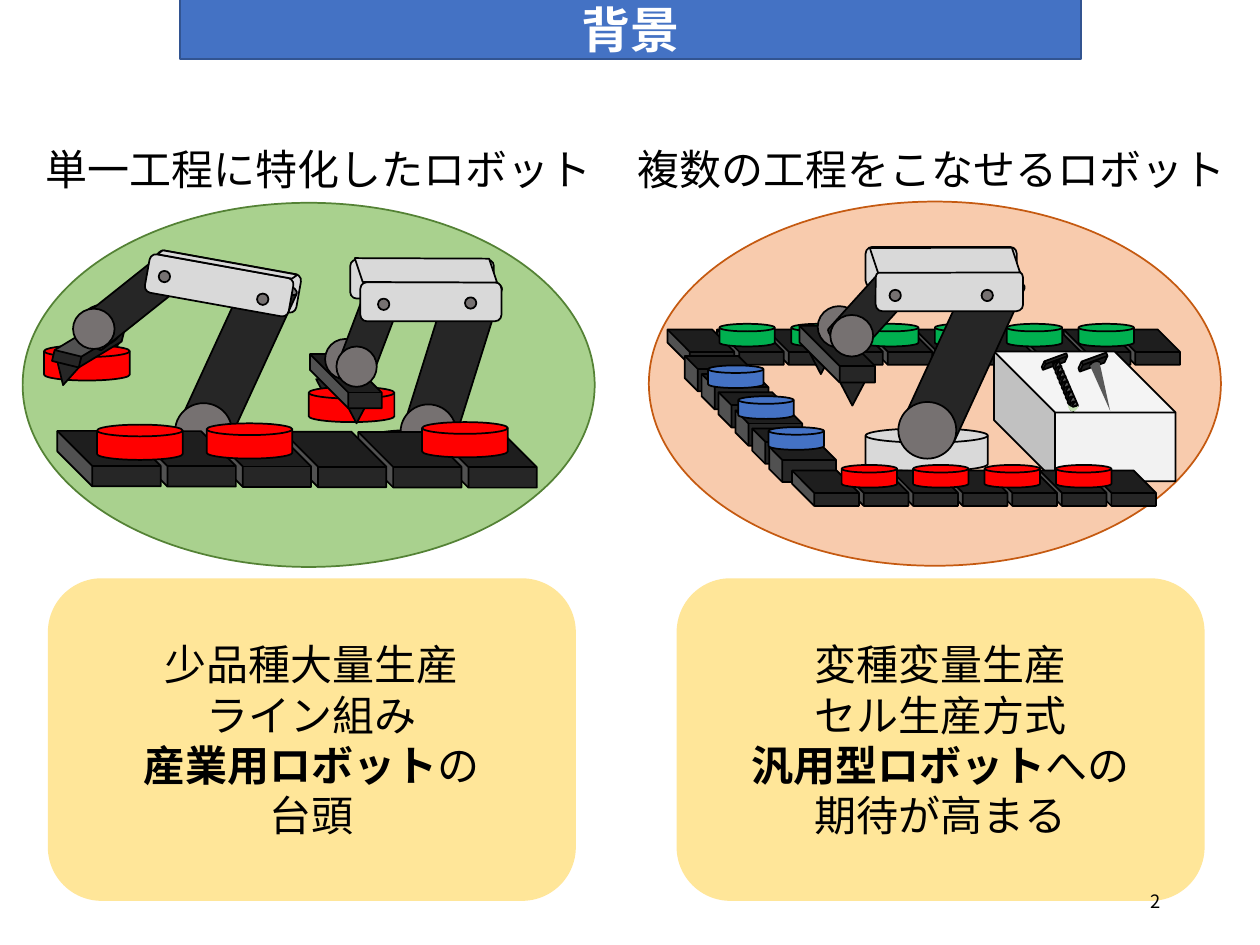
from dataclasses import dataclass
from typing import NamedTuple, Optional

from lxml.etree import SubElement
from pptx import Presentation
from pptx.dml.color import RGBColor
from pptx.enum.shapes import MSO_SHAPE as Form
from pptx.enum.text import MSO_ANCHOR, MSO_AUTO_SIZE, PP_ALIGN
from pptx.oxml.ns import qn
from pptx.util import Inches, Pt

FONT = "Noto Sans CJK JP"
BLACK = RGBColor(0x00, 0x00, 0x00)
WHITE = RGBColor(0xFF, 0xFF, 0xFF)
BLUE = RGBColor(0x44, 0x72, 0xC4)
NAVY = RGBColor(0x32, 0x54, 0x91)
RED = RGBColor(0xFF, 0x00, 0x00)
GREEN = RGBColor(0x00, 0xB0, 0x50)
YELLOW = RGBColor(0xFF, 0xE6, 0x99)
PALE_GREEN = RGBColor(0xA9, 0xD1, 0x8E)
DARK_GREEN = RGBColor(0x54, 0x82, 0x35)
LEAF = RGBColor(0xC5, 0xE0, 0xB4)
PEACH = RGBColor(0xF8, 0xCB, 0xAD)
RUST = RGBColor(0xC5, 0x5A, 0x11)
CHARCOAL = RGBColor(0x26, 0x26, 0x26)
STEEL = RGBColor(0x59, 0x59, 0x59)
JOINT = RGBColor(0x76, 0x71, 0x71)
SILVER = RGBColor(0xD9, 0xD9, 0xD9)
OFF_WHITE = RGBColor(0xF2, 0xF2, 0xF2)

COLUMNS, ROWS = 1000, 750
CELL = Inches(10) / COLUMNS


class Box(NamedTuple):
    """Place on the slide grid, with turn in degrees and flip made of h and v."""
    left: float
    top: float
    width: float
    height: float
    turn: float = 0
    adjust: Optional[float] = None
    flip: str = ""

    def moved(self, across: float, down: float) -> "Box":
        return self._replace(left=self.left + across, top=self.top + down)


class Span(NamedTuple):
    text: str
    bold: bool = False


@dataclass
class Robot:
    back_claw: Box
    front_claw: Box
    hand: Box
    base: Box
    back_beam: Box
    back_wrist: Box
    forearm: Box
    upper_arm: Box
    front_beam: Box
    shoulder: Box
    beam_top: Box
    front_wrist: Box
    bolts: tuple[Box, Box]
    workpiece: Optional[Box] = None


@dataclass
class Panel:
    oval: Box
    fill: RGBColor
    edge: RGBColor
    heading: str
    heading_box: Box
    card: Box
    lines: list[list[Span]]


def cells(*lengths: float) -> list[int]:
    return [round(length * CELL) for length in lengths]


def draw(shapes, form, box: Box, fill: RGBColor, edge: Optional[RGBColor] = BLACK):
    shape = shapes.add_shape(form, *cells(*box[:4]))
    shape.shadow.inherit = False
    shape.rotation = box.turn
    if box.adjust is not None:
        shape.adjustments[0] = box.adjust
    for axis in box.flip:
        shape._element.spPr.xfrm.set(f"flip{axis.upper()}", "1")
    paint(shape, fill, edge)
    return shape


def paint(shape, fill: RGBColor, edge: Optional[RGBColor]) -> None:
    shape.fill.solid()
    shape.fill.fore_color.rgb = fill
    if edge is None:
        shape.line.fill.background()
    else:
        shape.line.color.rgb = edge
        shape.line.width = Pt(1)


def draw_row(shapes, form, first: Box, count: int, across: float, down: float, fill: RGBColor) -> None:
    for index in range(count):
        draw(shapes, form, first.moved(index * across, index * down), fill)


def write(frame, lines: list[list[Span]], size: float, align, color: RGBColor = BLACK) -> None:
    for index, line in enumerate(lines):
        para = frame.add_paragraph() if index else frame.paragraphs[0]
        para.alignment = align
        for span in line:
            run = para.add_run()
            run.text = span.text
            run.font.size = Pt(size)
            run.font.bold = span.bold
            run.font.color.rgb = color
            run.font.name = FONT
            SubElement(run.font._element, qn("a:ea"), typeface=FONT)


def draw_panel(shapes, panel: Panel) -> None:
    draw(shapes, Form.OVAL, panel.oval, panel.fill, panel.edge)
    heading = shapes.add_textbox(*cells(*panel.heading_box[:4])).text_frame
    heading.word_wrap = False
    heading.auto_size = MSO_AUTO_SIZE.SHAPE_TO_FIT_TEXT
    write(heading, [[Span(panel.heading)]], 24, PP_ALIGN.LEFT)
    card = draw(shapes, Form.ROUNDED_RECTANGLE, panel.card, YELLOW, None).text_frame
    card.vertical_anchor = MSO_ANCHOR.MIDDLE
    write(card, panel.lines, 24, PP_ALIGN.CENTER)


def draw_robot(shapes, robot: Robot) -> None:
    draw(shapes, Form.ISOSCELES_TRIANGLE, robot.back_claw, CHARCOAL)
    if robot.workpiece:
        draw(shapes, Form.FLOWCHART_MAGNETIC_DISK, robot.workpiece, RED)
    for form, box, fill in (
        (Form.ISOSCELES_TRIANGLE, robot.front_claw, CHARCOAL),
        (Form.CUBE, robot.hand, CHARCOAL),
        (Form.FLOWCHART_MAGNETIC_DISK, robot.base, SILVER),
        (Form.ROUNDED_RECTANGLE, robot.back_beam, SILVER),
        (Form.OVAL, robot.back_wrist, JOINT),
        (Form.CAN, robot.forearm, CHARCOAL),
        (Form.CAN, robot.upper_arm, CHARCOAL),
        (Form.ROUNDED_RECTANGLE, robot.front_beam, SILVER),
        (Form.OVAL, robot.shoulder, JOINT),
        (Form.PARALLELOGRAM, robot.beam_top, SILVER),
        (Form.OVAL, robot.front_wrist, JOINT),
        *((Form.OVAL, bolt, JOINT) for bolt in robot.bolts),
    ):
        draw(shapes, form, box, fill)


def draw_screw_and_nail(shapes) -> None:
    draw(shapes, Form.CUBE, Box(864, 275, 7, 25, 70, 0.59, "v"), CHARCOAL)
    draw(shapes, Form.OVAL, Box(865, 287, 8, 4, 339.6), STEEL)
    draw(shapes, Form.FLOWCHART_EXTRACT, Box(871, 288, 8, 39, 161.8, flip="h"), STEEL, None)
    draw(shapes, Form.CUBE, Box(834, 276, 6, 22, 70, 0.59, "v"), CHARCOAL)
    draw(shapes, Form.CAN, Box(843, 285, 5, 40, 336.5, flip="hv"), STEEL)
    draw_row(shapes, Form.MOON, Box(836, 286, 4, 8, 14.7), 9, 1.63, 4, CHARCOAL)
    draw(shapes, Form.MOON, Box(849, 320, 5, 8, 277.2, 0.58), LEAF, None)


SPECIALISED = Panel(
    Box(18, 161, 454, 289), PALE_GREEN, DARK_GREEN,
    "単一工程に特化したロボット", Box(26, 109, 458, 50), Box(38, 459, 419, 256),
    [[Span("少品種大量生産")], [Span("ライン組み")],
     [Span("産業用ロボット", True), Span("の")], [Span("台頭")]])
VERSATILE = Panel(
    Box(515, 160, 454, 289), PEACH, RUST,
    "複数の工程をこなせるロボット", Box(496, 109, 491, 50), Box(537, 459, 419, 256),
    [[Span("変種変量生産")], [Span("セル生産方式")],
     [Span("汎用型ロボット", True), Span("への")], [Span("期待が高まる")]])

LIFTING_ROBOT = Robot(
    Box(72, 269, 21, 20, 14.2, flip="v"), Box(42, 286, 21, 20, 14.2, flip="v"),
    Box(45, 256, 50, 37, 13.8, 0.76), Box(114, 341, 94, 33), Box(122, 208, 116, 31, 10.2),
    Box(64, 242, 33, 32), Box(86, 201, 30, 83, 51.5), Box(168, 213, 42, 142, 24.7),
    Box(116, 211, 116, 31, 10.2), Box(139, 320, 45, 44),
    Box(140, 171, 81, 78, 324.4, 0.97, "v"), Box(58, 245, 33, 32),
    (Box(126, 215, 9, 9), Box(204, 233, 9, 9)), Box(35, 274, 68, 28))
PLACING_ROBOT = Robot(
    Box(251, 301, 20, 19, flip="v"), Box(273, 317, 20, 19, flip="v"),
    Box(253, 274, 43, 57, 270, 0.71), Box(293, 341, 93, 33), Box(278, 206, 114, 31),
    Box(258, 269, 32, 32), Box(279, 227, 29, 71, 20.8), Box(338, 215, 42, 140, 17.4),
    Box(286, 224, 112, 31), Box(318, 321, 44, 43), Box(311, 164, 54, 101, 251.6, 0.63),
    Box(267, 275, 32, 32), (Box(300, 237, 9, 9), Box(369, 236, 9, 9)), Box(245, 307, 68, 28))
CELL_ROBOT = Robot(
    Box(641, 277, 21, 20, flip="v"), Box(666, 302, 21, 20, flip="v"),
    Box(642, 251, 45, 60, 270, 0.71), Box(687, 340, 97, 34), Box(687, 196, 120, 32),
    Box(649, 243, 34, 33), Box(676, 209, 31, 75, 42.1), Box(743, 208, 44, 146, 24.7),
    Box(695, 215, 117, 32), Box(713, 319, 46, 45), Box(722, 153, 56, 107, 251.6, 0.63),
    Box(659, 250, 34, 33), (Box(706, 230, 9, 9), Box(779, 230, 9, 9)))


def draw_line_production(shapes) -> None:
    draw_panel(shapes, SPECIALISED)
    draw_robot(shapes, LIFTING_ROBOT)
    draw_robot(shapes, PLACING_ROBOT)
    draw_row(shapes, Form.CUBE, Box(363, 324, 44, 82, 270, 0.63), 6, -59.7, -0.2, CHARCOAL)
    for left, top in ((77, 337), (164, 336), (335, 335)):
        draw(shapes, Form.FLOWCHART_MAGNETIC_DISK, Box(left, top, 68, 28), RED)


def draw_cell_production(shapes) -> None:
    disk = Form.FLOWCHART_MAGNETIC_DISK
    draw_panel(shapes, VERSATILE)
    draw_row(shapes, Form.CUBE, Box(896, 249, 28, 53, 270, 0.63), 10, -39.3, 0, CHARCOAL)
    draw_row(shapes, disk, Box(571, 257, 44, 18), 6, 57, 0, GREEN)
    draw(shapes, Form.CUBE, Box(789, 279, 144, 103, adjust=0.47, flip="h"), OFF_WHITE)
    draw_screw_and_nail(shapes)
    draw_robot(shapes, CELL_ROBOT)
    draw_row(shapes, Form.CUBE, Box(556, 270, 28, 53, 270, 0.37), 6, 13.4, 14.4, CHARCOAL)
    draw_row(shapes, Form.CUBE, Box(877, 361, 28, 53, 270, 0.63), 7, -39.3, 0, CHARCOAL)
    draw_row(shapes, disk, Box(668, 369, 44, 18), 4, 56.7, 0, RED)
    draw_row(shapes, disk, Box(610, 339, 44, 18), 3, -24, -24.5, BLUE)


def main() -> None:
    deck = Presentation()
    deck.slide_width, deck.slide_height = cells(COLUMNS, ROWS)
    page = deck.slides.add_slide(deck.slide_layouts[5])
    title = page.shapes.title
    title.left, title.top, title.width, title.height = cells(143, -1, 715, 48)
    paint(title, BLUE, NAVY)
    title.text_frame.auto_size = MSO_AUTO_SIZE.NONE
    title.text_frame.vertical_anchor = MSO_ANCHOR.MIDDLE
    write(title.text_frame, [[Span("背景", True)]], 28, PP_ALIGN.CENTER, WHITE)
    draw_line_production(page.shapes.add_group_shape().shapes)
    draw_cell_production(page.shapes.add_group_shape().shapes)
    number = page.shapes.add_textbox(*cells(706, 695, 225, 40)).text_frame
    number.word_wrap = True
    number.vertical_anchor = MSO_ANCHOR.MIDDLE
    write(number, [[Span("2")]], 10.5, PP_ALIGN.RIGHT)
    deck.save("out.pptx")


if __name__ == "__main__":
    main()
